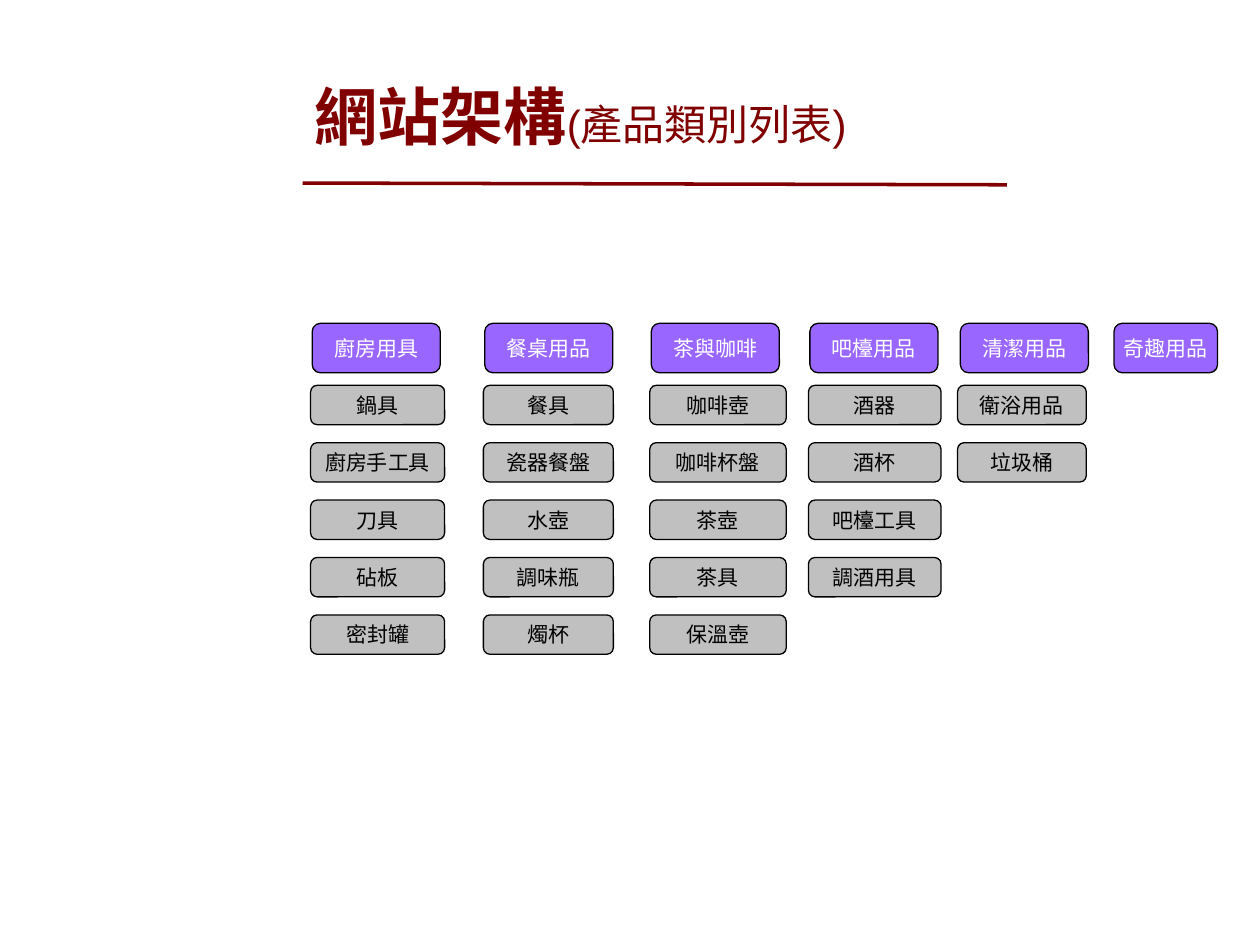
"""Build the product category slide of a website structure."""
from dataclasses import dataclass

from lxml import etree
from pptx import Presentation
from pptx import util as u
from pptx.dml.color import RGBColor
from pptx.enum import shapes, text
from pptx.oxml import ns
from pptx.slide import Slide
from pptx.text.text import TextFrame


@dataclass(frozen=True)
class Theme:
    font: str = "Arial"
    maroon: str = "800000"
    violet: str = "9966FF"
    silver: str = "C0C0C0"
    black: str = "000000"
    white: str = "FFFFFF"
    title_size: float = 36
    subtitle_size: float = 24
    label_size: float = 12
    rule_width: float = 2
    outline_width: float = 0.75


@dataclass(frozen=True)
class Category:
    heading: str
    heading_left: float
    heading_width: float
    items: tuple[str, ...] = ()
    item_left: float = 0
    item_width: float = 0


THEME = Theme()
HEADING_TOP, HEADING_HEIGHT = 184.75, 28.3
ITEM_TOP, ITEM_HEIGHT, ITEM_PITCH = 220.2, 22.5, 32.8
CATEGORIES = (
    Category("廚房用具", 178.4, 73.2,
             ("鍋具", "廚房手工具", "刀具", "砧板", "密封罐"), 177.5, 76.6),
    Category("餐桌用品", 277, 73.2,
             ("餐具", "瓷器餐盤", "水壺", "調味瓶", "燭杯"), 276.2, 74.3),
    Category("茶與咖啡", 372.2, 73.2,
             ("咖啡壺", "咖啡杯盤", "茶壺", "茶具", "保溫壺"), 371.3, 78),
    Category("吧檯用品", 462.8, 73.2,
             ("酒器", "酒杯", "吧檯工具", "調酒用具"), 462, 75.8),
    Category("清潔用品", 548.8, 73.2, ("衛浴用品", "垃圾桶"), 547.2, 73.6),
    Category("奇趣用品", 636.6, 59.2),
)


def add_text(frame: TextFrame, wording: str, *, size: float, color: str,
             bold: bool = False,
             align: text.PP_ALIGN = text.PP_ALIGN.LEFT) -> None:
    paragraph = frame.paragraphs[0]
    paragraph.alignment = align
    run = paragraph.add_run()
    run.text = wording
    run.font.name = THEME.font
    run.font.size = u.Pt(size)
    run.font.bold = bold
    run.font.color.rgb = RGBColor.from_string(color)


def add_title(slide: Slide) -> None:
    title = slide.shapes.add_textbox(
        u.Pt(172.8), u.Pt(18), u.Pt(523.4), u.Pt(95.8)).text_frame
    title.word_wrap = True
    title.vertical_anchor = text.MSO_ANCHOR.MIDDLE
    add_text(title, "網站架構", size=THEME.title_size, color=THEME.maroon, bold=True)
    add_text(title, "(產品類別列表)", size=THEME.subtitle_size, color=THEME.maroon)


def add_rule(slide: Slide) -> None:
    rule = slide.shapes.add_connector(
        shapes.MSO_CONNECTOR.STRAIGHT,
        u.Pt(575.3), u.Pt(105.6), u.Pt(173), u.Pt(104.6))
    rule.line.color.rgb = RGBColor.from_string(THEME.maroon)
    rule.line.width = u.Pt(THEME.rule_width)
    etree.SubElement(rule.element.spPr, ns.qn("a:effectLst"))


def add_button(slide: Slide, label: str, left: float, top: float, width: float,
               height: float, *, fill: str, color: str) -> None:
    button = slide.shapes.add_shape(
        shapes.MSO_SHAPE.ROUNDED_RECTANGLE,
        u.Pt(left), u.Pt(top), u.Pt(width), u.Pt(height))
    button.shadow.inherit = False
    button.fill.solid()
    button.fill.fore_color.rgb = RGBColor.from_string(fill)
    button.line.color.rgb = RGBColor.from_string(THEME.black)
    button.line.width = u.Pt(THEME.outline_width)
    frame = button.text_frame
    frame.margin_left = frame.margin_right = u.Pt(0)
    frame.margin_top = frame.margin_bottom = u.Pt(0)
    frame.word_wrap = False
    frame.vertical_anchor = text.MSO_ANCHOR.MIDDLE
    add_text(frame, label, size=THEME.label_size, color=color,
             align=text.PP_ALIGN.CENTER)


def add_category(slide: Slide, category: Category) -> None:
    for row, item in enumerate(category.items):
        add_button(slide, item, category.item_left, ITEM_TOP + row * ITEM_PITCH,
                   category.item_width, ITEM_HEIGHT,
                   fill=THEME.silver, color=THEME.black)
    add_button(slide, category.heading, category.heading_left, HEADING_TOP,
               category.heading_width, HEADING_HEIGHT,
               fill=THEME.violet, color=THEME.white)


def main() -> None:
    deck = Presentation()
    deck.slide_width, deck.slide_height = u.Pt(720), u.Pt(540)
    slide = deck.slides.add_slide(deck.slide_layouts[6])
    add_rule(slide)
    add_title(slide)
    for category in CATEGORIES:
        add_category(slide, category)
    deck.save("out.pptx")


if __name__ == "__main__":
    main()
